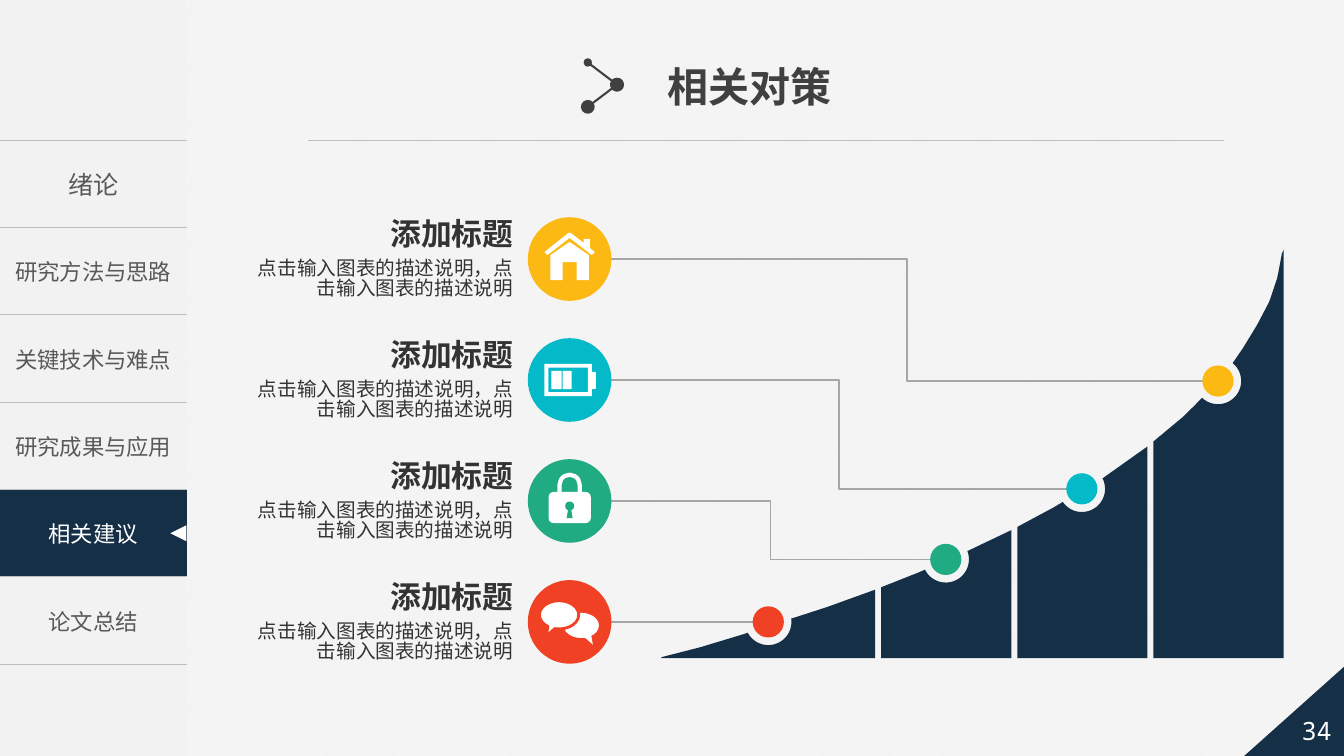
from math import atan2, cos, hypot, pi, sin
from lxml.etree import SubElement
from pptx import Presentation
from pptx.dml.color import RGBColor
from pptx.enum.dml import MSO_PATTERN
from pptx.enum.shapes import MSO_CONNECTOR as LINK, MSO_SHAPE as SHAPE
from pptx.enum.text import MSO_ANCHOR, PP_ALIGN
from pptx.oxml.ns import qn
from pptx.util import Inches, Pt

WHITE = RGBColor(0xFF, 0xFF, 0xFF)
PALE = RGBColor(0xF2, 0xF2, 0xF2)
RULE = RGBColor(0xBF, 0xBF, 0xBF)
WIRE = RGBColor(0xA6, 0xA6, 0xA6)
NAVY = RGBColor(0x15, 0x2F, 0x47)
DARK = RGBColor(0x40, 0x40, 0x40)
INK = RGBColor(0x33, 0x33, 0x33)
GRAY = RGBColor(0x59, 0x59, 0x59)
GOLD = RGBColor(0xFC, 0xB8, 0x13)
CYAN = RGBColor(0x05, 0xBA, 0xC8)
GREEN = RGBColor(0x21, 0xAB, 0x82)
RED = RGBColor(0xF1, 0x41, 0x24)
SANS = "Noto Sans CJK SC"

# Top of the hill, left to right
CURVE = [(6.56, 6.52), (6.95, 6.42), (7.38, 6.29), (7.84, 6.14), (8.21, 6.02),
         (8.68, 5.85), (9.11, 5.68), (9.59, 5.47), (10.03, 5.26), (10.44, 5.04),
         (10.93, 4.75), (11.38, 4.43), (11.74, 4.13), (11.93, 3.94), (12.22, 3.61),
         (12.33, 3.45), (12.47, 3.22), (12.59, 2.99), (12.67, 2.75), (12.72, 2.48),
         (12.73, 2.48)]
BASE = 6.53
BITE = 0.23


# Basic parts
def style(shape, fill, edge=None, width=1):
    shape.shadow.inherit = False
    if fill is None:
        shape.fill.background()
    else:
        shape.fill.solid()
        shape.fill.fore_color.rgb = fill
    if edge is None:
        shape.line.fill.background()
    else:
        shape.line.color.rgb = edge
        shape.line.width = Pt(width)
    return shape


def block(page, kind, x, y, w, h, fill, edge=None, width=1):
    shape = page.shapes.add_shape(kind, Inches(x), Inches(y), Inches(w), Inches(h))
    return style(shape, fill, edge, width)


def disc(page, x, y, size, fill):
    return block(page, SHAPE.OVAL, x - size / 2, y - size / 2, size, size, fill)


def outline(page, points, fill, x=0, y=0):
    spots = [(Inches(x + a), Inches(y + b)) for a, b in points]
    pen = page.shapes.build_freeform(*spots[0])
    pen.add_line_segments(spots[1:])
    return style(pen.convert_to_shape(), fill)


def wire(page, start, end, color, width, kind=LINK.STRAIGHT, tips=()):
    link = page.shapes.add_connector(kind, *(Inches(v) for v in (*start, *end)))
    link.line.color.rgb = color
    link.line.width = Pt(width)
    for tag, size in tips:
        SubElement(link.line._get_or_add_ln(), qn("a:" + tag), type="oval", w=size, len=size)
    SubElement(link._element.spPr, qn("a:effectLst"))


def write(frame, text, size, color, align=PP_ALIGN.CENTER, bold=False, font=SANS):
    frame.text = text
    para = frame.paragraphs[0]
    para.alignment = align
    para.font.size = Pt(size)
    para.font.bold = bold
    para.font.color.rgb = color
    para.font.name = font
    SubElement(para._p.pPr.find(qn("a:defRPr")), qn("a:ea"), typeface=font)
    return para


def label(page, x, y, w, h, text, size, color, wrap=False, **look):
    frame = page.shapes.add_textbox(Inches(x), Inches(y), Inches(w), Inches(h)).text_frame
    frame.word_wrap = wrap
    frame.vertical_anchor = MSO_ANCHOR.MIDDLE
    return write(frame, text, size, color, **look)


# Side menu
def border(cell, sides):
    props = cell._tc.get_or_add_tcPr()
    for at, side in enumerate(("lnL", "lnR", "lnT", "lnB")):
        line = props.makeelement(qn("a:" + side), {"w": str(Pt(1))})
        if side in sides:
            fill = SubElement(line, qn("a:solidFill"))
            SubElement(fill, qn("a:srgbClr"), val=str(RULE))
        else:
            SubElement(line, qn("a:noFill"))
        props.insert(at, line)


def menu(page, x, y, w, h, names, active):
    block(page, SHAPE.RECTANGLE, x, 0, w, 7.5, PALE)
    step = h / len(names)
    table = page.shapes.add_table(len(names), 1, Inches(x), Inches(y), Inches(w), Inches(h)).table
    table.first_row = table.horz_banding = False
    for i, name in enumerate(names):
        cell = table.cell(i, 0)
        cell.vertical_anchor = MSO_ANCHOR.MIDDLE
        if i == active:
            cell.fill.solid()
            cell.fill.fore_color.rgb = NAVY
        else:
            cell.fill.background()
        border(cell, ("lnT", "lnB"))
        write(cell.text_frame, name, 16 if i else 18, WHITE if i == active else GRAY)
    mark = block(page, SHAPE.ISOSCELES_TRIANGLE, x + w - 0.16, y + step * (active + 0.5) - 0.08,
                 0.16, 0.16, WHITE)
    mark.rotation = 270


# Title and page number
def header(page, x, y, text):
    wire(page, (x, y + 0.83), (x + 9.09, y + 0.83), RULE, 0.5)
    left, tip = x + 2.78, (x + 3.07, y + 0.28)
    wire(page, (left, y + 0.06), tip, DARK, 1.5, tips=(("headEnd", "med"), ("tailEnd", "lg")))
    wire(page, tip, (left, y + 0.5), DARK, 1.5, tips=(("headEnd", "lg"), ("tailEnd", "lg")))
    label(page, x + 3.47, y, 1.85, 0.59, text, 29.3, DARK,
          align=PP_ALIGN.LEFT, bold=True, font="Arial")


def corner(page, x, y, number):
    for kind, box, fill in ((SHAPE.RIGHT_TRIANGLE, (x, y, 1.04, 0.93), NAVY),
                            (SHAPE.PENTAGON, (x + 0.12, y + 0.39, 1.08, 0.55), None)):
        shape = block(page, kind, *box, fill)
        shape._element.spPr.xfrm.set("flipH", "1")
    shape.text_frame.vertical_anchor = MSO_ANCHOR.MIDDLE
    write(shape.text_frame, number, 18, WHITE, font="Noto Sans Mono")


# Icons, each around the middle of its disc
def house(page, x, y):
    outline(page, [(0, -.17), (.19, -.04), (.19, .21), (.07, .21), (.07, .03), (-.07, .03),
                   (-.07, .21), (-.19, .21), (-.19, -.04)], WHITE, x, y)
    outline(page, [(-.25, -.07), (-.01, -.26), (.01, -.26), (.14, -.16), (.14, -.2), (.2, -.2),
                   (.2, -.11), (.25, -.07), (.22, -.04), (0, -.21), (-.22, -.04)], WHITE, x, y)


def battery(page, x, y):
    case = block(page, SHAPE.FRAME, x - .25, y - .16, .47, .32, WHITE)
    case.adjustments[0] = 0.12
    block(page, SHAPE.ROUNDED_RECTANGLE, x + .2, y - .08, .06, .17, WHITE)
    for left, wide in ((-.18, .1), (-.07, .09)):
        block(page, SHAPE.RECTANGLE, x + left, y - .09, wide, .18, WHITE)


def lock(page, x, y):
    bow = block(page, SHAPE.ROUND_2_SAME_RECTANGLE, x - .1, y - .26, .2, .2, None, WHITE, 3)
    bow.adjustments[0] = 0.5
    block(page, SHAPE.ROUNDED_RECTANGLE, x - .21, y - .09, .42, .31, WHITE)
    disc(page, x, y + .05, .09, GREEN)
    block(page, SHAPE.TRAPEZOID, x - .03, y + .08, .06, .09, GREEN)


def chat(page, x, y):
    back = block(page, SHAPE.OVAL_CALLOUT, x - .06, y - .09, .35, .25, WHITE)
    front = block(page, SHAPE.OVAL_CALLOUT, x - .3, y - .21, .39, .28, WHITE, RED, 2)
    for bubble, lean in ((back, 0.33), (front, -0.33)):
        bubble.adjustments[0] = lean
        bubble.adjustments[1] = 0.76


# Hill cut into slices, with a bite around each dot
def level(x):
    for (a, b), (c, d) in zip(CURVE, CURVE[1:]):
        if x <= c:
            return b + (d - b) * (x - a) / (c - a)
    return CURVE[-1][1]


def piece(page, left, right, dot):
    cx, cy = dot
    top = [(x, level(x)) for x in (left + (right - left) * i / 80 for i in range(81))]
    free = [p for p in top if hypot(p[0] - cx, p[1] - cy) > BITE]
    before = [p for p in free if p[0] < cx]
    after = [p for p in free if p[0] > cx]
    a, b = (atan2(p[1] - cy, p[0] - cx) for p in (before[-1], after[0]))
    turns = [a + ((b - a) % (2 * pi) - 2 * pi) * i / 24 for i in range(25)]
    arc = [(cx + BITE * cos(t), cy + BITE * sin(t)) for t in turns]
    outline(page, before + arc + after + [(right, BASE), (left, BASE)], NAVY)


# One item: text, icon disc, and the wire to its dot
def item(page, x, y, icon, color, dot):
    label(page, x + 1.36, y, 1.44, 0.47, "添加标题", 22, INK, align=PP_ALIGN.RIGHT, bold=True)
    note = label(page, x, y + 0.41, 2.8, 0.57, "点击输入图表的描述说明，点击输入图表的描述说明",
                 14, INK, wrap=True, align=PP_ALIGN.RIGHT)
    note.line_spacing = 0.84
    cx, cy = x + 3.26, y + 0.49
    kind = LINK.STRAIGHT if abs(cy - dot[1]) < 0.01 else LINK.ELBOW
    wire(page, (cx + 0.41, cy), (dot[0] - 0.15, dot[1]), WIRE, 1, kind)
    disc(page, cx, cy, 0.83, color)
    icon(page, cx, cy)
    disc(page, *dot, 0.31, color)


def main():
    deck = Presentation()
    deck.slide_width, deck.slide_height = Inches(13.33), Inches(7.5)
    page = deck.slides.add_slide(deck.slide_layouts[6])
    back = page.background.fill
    back.patterned()
    back.pattern = MSO_PATTERN.LIGHT_UPWARD_DIAGONAL
    back.fore_color.rgb, back.back_color.rgb = WHITE, PALE

    names = ["绪论", "研究方法与思路", "关键技术与难点", "研究成果与应用", "相关建议", "论文总结"]
    menu(page, 0, 1.39, 1.85, 5.2, names, 4)
    header(page, 3.05, 0.56, "相关对策")
    corner(page, 12.33, 6.58, "34")

    items = [(house, GOLD, (12.08, 3.78)), (battery, CYAN, (10.73, 4.85)),
             (lock, GREEN, (9.38, 5.55)), (chat, RED, (7.62, 6.17))]
    lefts, rights = (11.44, 10.09, 8.74, 6.56), (12.73, 11.38, 10.03, 8.68)
    for left, right, (_, _, dot) in zip(lefts, rights, items):
        piece(page, left, right, dot)
    for i, (icon, color, dot) in enumerate(items):
        item(page, 2.39, 2.08 + 1.2 * i, icon, color, dot)
    deck.save("out.pptx")


if __name__ == "__main__":
    main()
